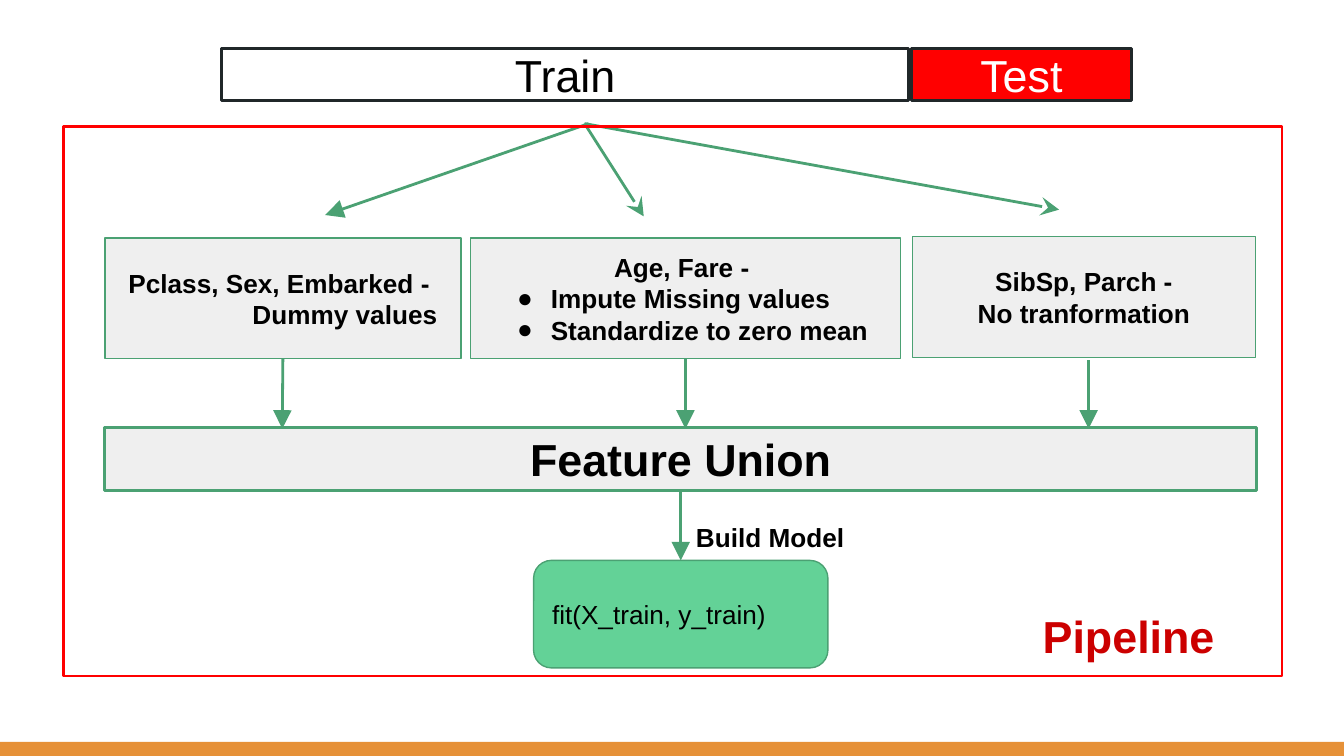
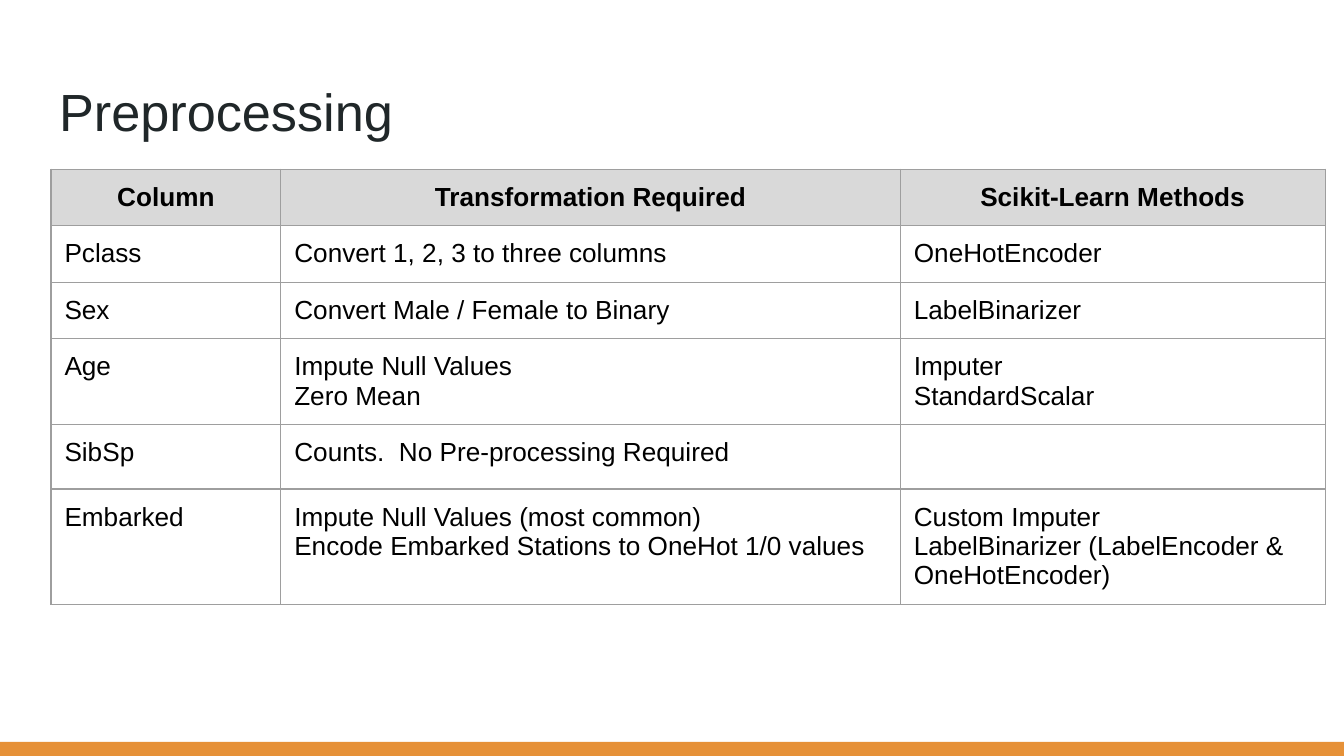
from lxml.etree import SubElement
from pptx import Presentation
from pptx.dml.color import RGBColor
from pptx.enum.shapes import MSO_CONNECTOR, MSO_SHAPE
from pptx.enum.text import MSO_ANCHOR, MSO_AUTO_SIZE, PP_ALIGN
from pptx.oxml.ns import qn
from pptx.util import Inches, Pt

COLORS = {
    "band": "E69138",
    "ink": "202729",
    "black": "000000",
    "white": "FFFFFF",
    "red": "FF0000",
    "label": "CC0000",
    "green": "4BA173",
    "mint": "63D297",
    "panel": "EFEFEF",
    "header": "D9D9D9",
    "border": "9E9E9E",
}
FONT = "Arial"
LEFT, CENTER = PP_ALIGN.LEFT, PP_ALIGN.CENTER
TOP, BOTTOM = 0, 2

TABLE_ROWS = [
    ("Column", "Transformation Required", "Scikit-Learn Methods"),
    ("Pclass", "Convert 1, 2, 3 to three columns", "OneHotEncoder"),
    ("Sex", "Convert Male / Female to Binary", "LabelBinarizer"),
    ("Age", "Impute Null Values\nZero Mean", "Imputer\nStandardScalar"),
    ("SibSp", "Counts.  No Pre-processing Required", ""),
    ("Embarked",
     "Impute Null Values (most common)\nEncode Embarked Stations to OneHot 1/0 values",
     "Custom Imputer\nLabelBinarizer (LabelEncoder & OneHotEncoder)"),
]
COLUMN_WIDTHS = (1.71, 4.61, 3.16)
ROW_HEIGHTS = (0.42, 0.42, 0.42, 0.64, 0.48, 0.86)


def rgb(name):
    return RGBColor.from_string(COLORS[name])


def inches(*values):
    return [Inches(value) for value in values]


def set_fill(fill, color):
    if color:
        fill.solid()
        fill.fore_color.rgb = rgb(color)
    else:
        fill.background()


def add_run(paragraph, text, size, color="black", bold=False):
    run = paragraph.add_run()
    run.text = text
    run.font.name = FONT
    run.font.size = Pt(size)
    run.font.bold = bold
    run.font.color.rgb = rgb(color)


def write_lines(frame, lines, size, color="black", bold=False, align=LEFT):
    for index, line in enumerate(lines):
        paragraph = frame.add_paragraph() if index else frame.paragraphs[0]
        paragraph.alignment = align
        add_run(paragraph, line, size, color, bold)


def prepare_frame(frame, anchor):
    frame.word_wrap = True
    frame.auto_size = MSO_AUTO_SIZE.NONE
    frame.vertical_anchor = anchor
    frame.margin_left = frame.margin_right = Inches(0.1)
    frame.margin_top = frame.margin_bottom = Inches(0.1)


def indent(paragraph, left, bullet=None):
    paragraph.alignment = LEFT
    properties = paragraph._p.get_or_add_pPr()
    properties.set("marL", str(Inches(left)))
    if bullet:
        properties.set("indent", str(Inches(-0.25)))
        SubElement(properties, qn("a:buSzPts")).set("val", "1400")
        SubElement(properties, qn("a:buFont")).set("typeface", FONT)
        SubElement(properties, qn("a:buChar")).set("char", bullet)


def add_box(slide, at, lines=(), fill=None, line="green", width=0.75, size=14,
            color="black", bold=False, align=CENTER, kind=MSO_SHAPE.RECTANGLE):
    shape = slide.shapes.add_shape(kind, *inches(*at))
    shape.shadow.inherit = False
    set_fill(shape.fill, fill)
    set_fill(shape.line.fill, line)
    if line:
        shape.line.width = Pt(width)
    prepare_frame(shape.text_frame, MSO_ANCHOR.MIDDLE)
    write_lines(shape.text_frame, lines, size, color, bold, align)
    return shape


def add_label(slide, at, text, size, color="black"):
    box = slide.shapes.add_textbox(*inches(*at))
    prepare_frame(box.text_frame, MSO_ANCHOR.TOP)
    write_lines(box.text_frame, [text], size, color, bold=True)


def add_arrow(slide, start, end, head="triangle"):
    arrow = slide.shapes.add_connector(MSO_CONNECTOR.STRAIGHT, *inches(*start, *end))
    arrow.line.color.rgb = rgb("green")
    arrow.line.width = Pt(1.5)
    SubElement(arrow.line._get_or_add_ln(), qn("a:tailEnd"),
               type=head, w="lg", len="lg")
    SubElement(arrow._element.spPr, qn("a:effectLst"))
    return arrow


def add_borders(cell):
    properties = cell._tc.get_or_add_tcPr()
    for side in ("lnL", "lnR", "lnT", "lnB"):
        border = SubElement(properties, qn(f"a:{side}"), w=str(Pt(0.75)))
        solid = SubElement(border, qn("a:solidFill"))
        SubElement(solid, qn("a:srgbClr")).set("val", COLORS["border"])


def add_table(slide, left, top):
    table = slide.shapes.add_table(
        len(TABLE_ROWS), len(COLUMN_WIDTHS),
        *inches(left, top, sum(COLUMN_WIDTHS), sum(ROW_HEIGHTS))).table
    table.first_row = table.horz_banding = False
    for column, width in zip(table.columns, COLUMN_WIDTHS):
        column.width = Inches(width)
    for row, height in zip(table.rows, ROW_HEIGHTS):
        row.height = Inches(height)
    for row_index, texts in enumerate(TABLE_ROWS):
        header = row_index == 0
        for column_index, text in enumerate(texts):
            cell = table.cell(row_index, column_index)
            cell.margin_left = cell.margin_right = Inches(0.1)
            cell.margin_top = cell.margin_bottom = Inches(0.1)
            add_borders(cell)
            set_fill(cell.fill, "header" if header else None)
            if text:
                write_lines(cell.text_frame, text.split("\n"), 14, bold=header,
                            align=CENTER if header else LEFT)
            else:
                paragraph = cell.text_frame.paragraphs[0]
                SubElement(paragraph._p, qn("a:endParaRPr"), sz="1400")


def add_title(slide, text):
    title = slide.shapes.title
    title.left, title.top, title.width, title.height = inches(0.34, 0.49, 9.32, 0.63)
    prepare_frame(title.text_frame, MSO_ANCHOR.TOP)
    write_lines(title.text_frame, [text], 28, "ink")


def add_slide(presentation, layout_name):
    layout = presentation.slide_layouts.get_by_name(layout_name)
    slide = presentation.slides.add_slide(layout)
    add_box(slide, (0, 5.52, 10, 0.11), fill="band", line=None)
    return slide


def build_pipeline_slide(presentation):
    slide = add_slide(presentation, "Blank")
    add_box(slide, (1.65, 0.36, 5.11, 0.39), ["Train"], line="ink", width=1.5, size=24)
    add_box(slide, (6.78, 0.36, 1.64, 0.39), ["Test"], fill="red", line="ink",
            width=1.5, size=24, color="white")

    fit = add_box(slide, (3.97, 4.17, 2.19, 0.8), ["fit(X_train, y_train)"],
                  fill="mint", align=LEFT, kind=MSO_SHAPE.ROUNDED_RECTANGLE)
    add_label(slide, (5.08, 3.78, 1.9, 0.51), "Build Model", 14)
    union = add_box(slide, (0.78, 3.18, 8.57, 0.47), ["Feature Union"],
                    fill="panel", width=1.5, size=24, bold=True)
    build = add_arrow(slide, (5.06, 3.66), (5.06, 4.17))
    build.begin_connect(union, BOTTOM)
    build.end_connect(fit, TOP)
    add_label(slide, (7.66, 4.43, 1.58, 0.39), "Pipeline", 24, "label")

    dummies = add_box(slide, (0.78, 1.77, 2.65, 0.9),
                      ["Pclass, Sex, Embarked - ", "Dummy values"],
                      fill="panel", bold=True)
    indent(dummies.text_frame.paragraphs[1], 1)
    scaled = add_box(slide, (3.5, 1.77, 3.2, 0.9),
                     ["Age, Fare - ", "Impute Missing values", "Standardize to zero mean"],
                     fill="panel", bold=True)
    for paragraph in scaled.text_frame.paragraphs[1:]:
        indent(paragraph, 0.5, "●")
    add_box(slide, (6.79, 1.76, 2.55, 0.9), ["SibSp, Parch -", "No tranformation"],
            fill="panel", bold=True)

    add_arrow(slide, (4.35, 0.92), (4.79, 1.61), "stealth")
    add_arrow(slide, (4.35, 0.92), (7.88, 1.56), "stealth")
    add_arrow(slide, (4.38, 0.92), (2.42, 1.6))
    for group, x in ((dummies, 2.1), (scaled, 5.1), (None, 8.1)):
        arrow = add_arrow(slide, (x, 2.68), (x, 3.19))
        if group:
            arrow.begin_connect(group, BOTTOM)
    add_box(slide, (0.47, 0.94, 9.07, 4.09), line="red", width=1.5)


def build_preprocessing_slide(presentation):
    slide = add_slide(presentation, "Title Only")
    add_title(slide, "Preprocessing")
    add_table(slide, 0.38, 1.26)


def main():
    presentation = Presentation()
    presentation.slide_width = Inches(10)
    presentation.slide_height = Inches(10) * 9 // 16
    build_pipeline_slide(presentation)
    build_preprocessing_slide(presentation)
    presentation.save("out.pptx")


if __name__ == "__main__":
    main()
